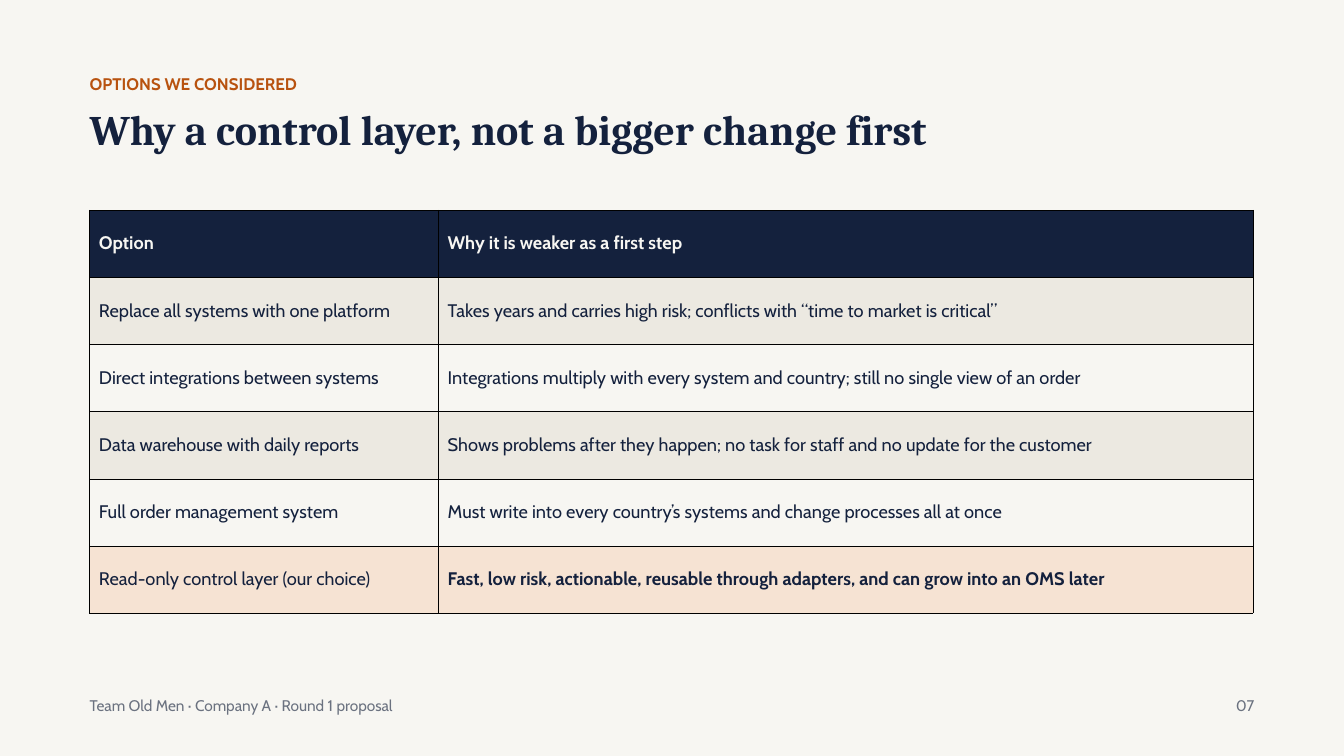
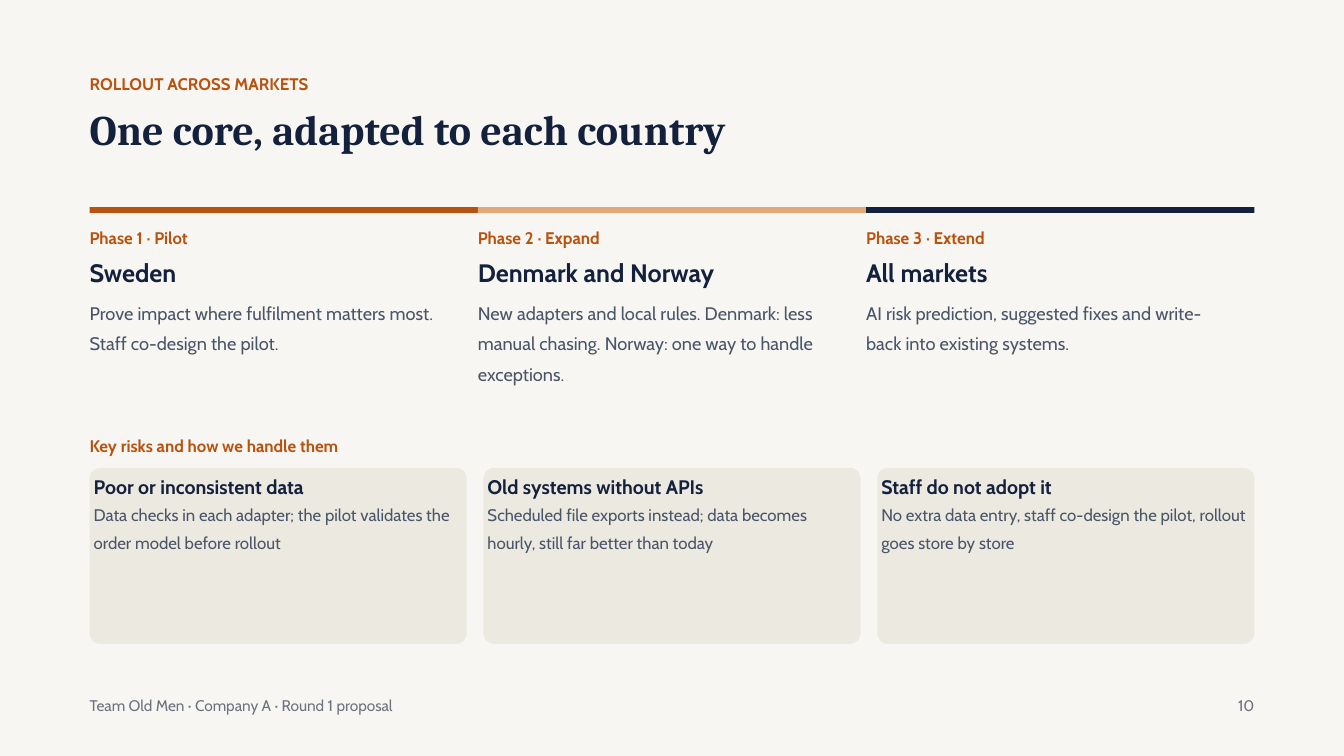
from lxml.etree import SubElement
from pptx import Presentation
from pptx.dml.color import RGBColor
from pptx.enum.shapes import MSO_SHAPE
from pptx.enum.text import MSO_ANCHOR, MSO_AUTO_SIZE, PP_ALIGN
from pptx.oxml.ns import qn
from pptx.util import Pt

PAPER = RGBColor(0xF7, 0xF6, 0xF2)
SAND = RGBColor(0xEC, 0xE9, 0xE1)
PEACH = RGBColor(0xF6, 0xE3, 0xD3)
APRICOT = RGBColor(0xE3, 0xA8, 0x78)
RUST = RGBColor(0xB8, 0x52, 0x0F)
NAVY = RGBColor(0x14, 0x21, 0x3D)
SLATE = RGBColor(0x4A, 0x55, 0x68)
GREY = RGBColor(0x6B, 0x72, 0x80)

SLIDE_WIDTH, SLIDE_HEIGHT = 1440, 810
MARGIN = 96
CONTENT_WIDTH = SLIDE_WIDTH - 2 * MARGIN


def text_style(size, color, line_spacing, bold=False, name="Cabin"):
    return {
        "font": {"size": Pt(size), "name": name, "bold": bold},
        "color": color,
        "line_spacing": Pt(line_spacing),
    }


LABEL = text_style(18, RUST, 28.1, bold=True)
TITLE = text_style(45, NAVY, 56.7, bold=True, name="Cambria")
FOOTER = text_style(16.5, GREY, 25.7)
TABLE_HEAD = text_style(19.5, PAPER, 23.4, bold=True)
TABLE_BODY = text_style(19.5, NAVY, 23.4)
TABLE_STRONG = text_style(19.5, NAVY, 23.4, bold=True)
PHASE_PLACE = text_style(27, NAVY, 42.1, bold=True)
PHASE_BODY = text_style(19.5, SLATE, 32.8)
RISK_NAME = text_style(21, NAVY, 34, bold=True)
RISK_BODY = text_style(18, SLATE, 29.2)

OPTIONS = [
    ("Option", "Why it is weaker as a first step"),
    ("Replace all systems with one platform",
     "Takes years and carries high risk; conflicts with “time to market is critical”"),
    ("Direct integrations between systems",
     "Integrations multiply with every system and country; still no single view of an order"),
    ("Data warehouse with daily reports",
     "Shows problems after they happen; no task for staff and no update for the customer"),
    ("Full order management system",
     "Must write into every country’s systems and change processes all at once"),
    ("Read-only control layer (our choice)",
     "Fast, low risk, actionable, reusable through adapters, and can grow into an OMS later"),
]
PHASES = [
    (RUST, "Phase 1 · Pilot", "Sweden",
     "Prove impact where fulfilment matters most. Staff co-design the pilot."),
    (APRICOT, "Phase 2 · Expand", "Denmark and Norway",
     "New adapters and local rules. Denmark: less manual chasing. "
     "Norway: one way to handle exceptions."),
    (NAVY, "Phase 3 · Extend", "All markets",
     "AI risk prediction, suggested fixes and write-back into existing systems."),
]
RISKS = [
    ("Poor or inconsistent data",
     "Data checks in each adapter; the pilot validates the order model before rollout"),
    ("Old systems without APIs",
     "Scheduled file exports instead; data becomes hourly, still far better than today"),
    ("Staff do not adopt it",
     "No extra data entry, staff co-design the pilot, rollout goes store by store"),
]


def write(paragraph, text, style, alignment=PP_ALIGN.LEFT):
    run = paragraph.add_run()
    run.text = text
    for attribute, value in style["font"].items():
        setattr(run.font, attribute, value)
    run.font.color.rgb = style["color"]
    paragraph.line_spacing = style["line_spacing"]
    paragraph.alignment = alignment


def set_margins(target, margin):
    for side in ("left", "top", "right", "bottom"):
        setattr(target, f"margin_{side}", Pt(margin))


def add_text(shapes, box, lines, margin=0, alignment=PP_ALIGN.LEFT,
             auto_size=MSO_AUTO_SIZE.SHAPE_TO_FIT_TEXT):
    """Add a text box with one paragraph for each (text, style) in lines."""
    frame = shapes.add_textbox(*map(Pt, box)).text_frame
    frame.word_wrap = True
    frame.auto_size = auto_size
    set_margins(frame, margin)
    for index, (text, style) in enumerate(lines):
        paragraph = frame.add_paragraph() if index else frame.paragraphs[0]
        write(paragraph, text, style, alignment)


def add_panel(shapes, kind, box, color):
    shape = shapes.add_shape(kind, *map(Pt, box))
    shape.shadow.inherit = False
    shape.fill.solid()
    shape.fill.fore_color.rgb = color
    shape.line.fill.background()
    return shape


def add_framed_slide(presentation, label, title, number):
    """Add a slide with the shared background, heading and footer."""
    slide = presentation.slides.add_slide(presentation.slide_layouts[6])
    slide.background.fill.solid()
    slide.background.fill.fore_color.rgb = PAPER
    add_text(slide.shapes, (MARGIN, 73, CONTENT_WIDTH, 32), [(label, LABEL)])
    add_text(slide.shapes, (MARGIN, 108, CONTENT_WIDTH, 70.5), [(title, TITLE)])
    add_text(slide.shapes, (MARGIN, 739.5, 1125, 29),
             [("Team Old Men · Company A · Round 1 proposal", FOOTER)])
    add_text(slide.shapes, (SLIDE_WIDTH - MARGIN - 75, 739.5, 75, 29),
             [(number, FOOTER)], alignment=PP_ALIGN.RIGHT)
    return slide


def add_borders(cell):
    properties = cell._tc.get_or_add_tcPr()
    for position, side in enumerate(("lnL", "lnR", "lnT", "lnB")):
        line = SubElement(properties, qn(f"a:{side}"), w=str(Pt(0.37)))
        fill = SubElement(line, qn("a:solidFill"))
        SubElement(fill, qn("a:srgbClr"), val="000000")
        properties.insert(position, line)


def add_options_table(slide, box):
    table = slide.shapes.add_table(len(OPTIONS), 2, *map(Pt, box)).table
    table.horz_banding = False
    option_width = 373.7
    for column, width in zip(table.columns, (option_width, box[2] - option_width)):
        column.width = Pt(width)
    last = len(OPTIONS) - 1
    for row, texts in enumerate(OPTIONS):
        if row == 0:
            fill, styles = NAVY, (TABLE_HEAD, TABLE_HEAD)
        elif row == last:
            fill, styles = PEACH, (TABLE_BODY, TABLE_STRONG)
        else:
            fill, styles = (SAND if row % 2 else PAPER), (TABLE_BODY, TABLE_BODY)
        for column, (text, style) in enumerate(zip(texts, styles)):
            cell = table.cell(row, column)
            cell.vertical_anchor = MSO_ANCHOR.MIDDLE
            set_margins(cell, 10)
            cell.fill.solid()
            cell.fill.fore_color.rgb = fill
            add_borders(cell)
            write(cell.text_frame.paragraphs[0], text, style)


def add_phase(slide, box, color, phase, place, description):
    left, top, width, height = box
    add_panel(slide.shapes, MSO_SHAPE.RECTANGLE, (left, top, width, 6), color)
    text_width = width - 36
    for offset, bottom, text, style in (
        (15.5, 46.5, phase, LABEL),
        (43.5, 93.5, place, PHASE_PLACE),
        (92, height, description, PHASE_BODY),
    ):
        add_text(slide.shapes, (left, top + offset, text_width, bottom - offset),
                 [(text, style)])


def add_risk_card(slide, box, name, response):
    left, top, width, height = box
    group = slide.shapes.add_group_shape()
    card = add_panel(group.shapes, MSO_SHAPE.ROUNDED_RECTANGLE, box, SAND)
    card.adjustments[0] = 0.06
    add_text(group.shapes, (left, top - 6, width, height + 6),
             [(name, RISK_NAME), (response, RISK_BODY)],
             margin=4.3, auto_size=MSO_AUTO_SIZE.NONE)


def build_options_slide(presentation):
    slide = add_framed_slide(presentation, "OPTIONS WE CONSIDERED",
                             "Why a control layer, not a bigger change first", "07")
    add_options_table(slide, (MARGIN, 225, 1246.3, 432))


def build_rollout_slide(presentation):
    slide = add_framed_slide(presentation, "ROLLOUT ACROSS MARKETS",
                             "One core, adapted to each country", "10")
    phase_width = CONTENT_WIDTH / len(PHASES)
    for index, phase in enumerate(PHASES):
        add_phase(slide, (MARGIN + index * phase_width, 222, phase_width, 226), *phase)

    add_text(slide.shapes, (MARGIN, 460, CONTENT_WIDTH, 31),
             [("Key risks and how we handle them", LABEL)])
    gap = 18
    card_width = (CONTENT_WIDTH - gap * (len(RISKS) - 1)) / len(RISKS)
    for index, risk in enumerate(RISKS):
        left = MARGIN + index * (card_width + gap)
        add_risk_card(slide, (left, 501.3, card_width, 188.5), *risk)


def main():
    presentation = Presentation()
    presentation.slide_width = Pt(SLIDE_WIDTH)
    presentation.slide_height = Pt(SLIDE_HEIGHT)
    build_options_slide(presentation)
    build_rollout_slide(presentation)
    presentation.save("out.pptx")


if __name__ == "__main__":
    main()
